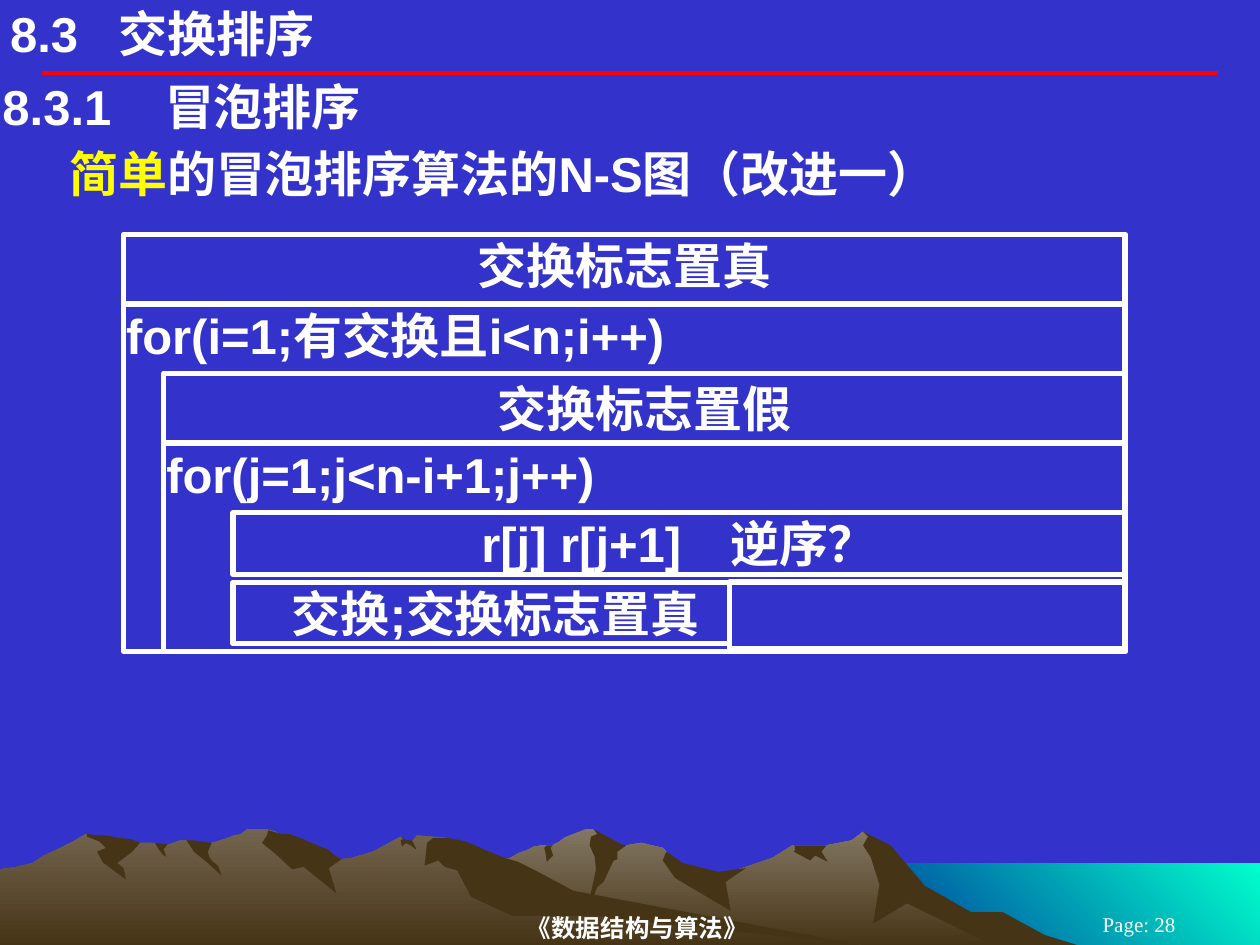
from lxml import etree
from pptx import Presentation
from pptx.dml.color import RGBColor
from pptx.enum.shapes import MSO_CONNECTOR, MSO_SHAPE
from pptx.enum.text import MSO_ANCHOR, MSO_AUTO_SIZE, PP_ALIGN
from pptx.oxml.ns import qn
from pptx.util import Inches, Pt

LEFT, CENTER = PP_ALIGN.LEFT, PP_ALIGN.CENTER
TOP, MIDDLE = MSO_ANCHOR.TOP, MSO_ANCHOR.MIDDLE
NO_AUTOFIT = MSO_AUTO_SIZE.NONE
RECTANGLE, STRAIGHT = MSO_SHAPE.RECTANGLE, MSO_CONNECTOR.STRAIGHT
TITLE_ONLY = 5

COLORS = {
    "page": "3333CC", "text": "FFFFFF", "accent": "FFFF00", "rule": "FF0000",
    "sea_light": "00FFCC", "sea_dark": "003399", "rock": "837763",
    "far_rock": "72644E", "shade": "463416",
}
HEADING = {"name": "Arial", "size": Pt(28), "bold": True}
FOOTER = {"name": "Times New Roman", "size": Pt(14), "bold": True}
PAGE_NUMBER = {"name": "Times New Roman", "size": Pt(12), "bold": False}

# The grid has 1000 columns and 750 rows of square cells.
COLUMNS = 1000
CHART_TOP, ROW_STEP, CHART_BOTTOM = 186, 55.2, 517
CHART_RIGHT = 893
OUTER, MIDDLE_LOOP, INNER = 98, 130, 185

# Outlines run from back to front: fill colours, then grid points.
SEA = "1000,752 683,752 683,685 1000,685"
FRONT_RANGE = [
    (("rock", "shade"),
     "802,740 778,727 764,723 723,698 702,671 685,660 676,667 656,671 629,671 613,681 "
     "566,697 536,690 529,676 526,673 509,669 497,671 486,673 474,661 471,658 465,658 "
     "450,664 448,665 444,668 438,671 430,671 424,672 418,675 412,677 405,681 399,683 "
     "394,685 355,698 327,709 277,739 258,751 821,751"),
    (("shade",),
     "796,724 771,724 734,703 707,671 685,660 689,664 685,671 691,680 698,702 693,733 "
     "720,717 792,752 858,751 829,742"),
    (("shade",),
     "471,658 474,662 469,664 468,671 472,680 473,690 465,727 474,704 479,700 487,683 "
     "490,682 490,676 497,671 493,670"),
    (("shade",),
     "529,676 528,678 526,683 536,697 580,723 576,700 592,689 570,692 542,685"),
    (("shade",),
     "650,671 630,671 631,672 631,675 630,676 643,683 647,679 657,684 652,676 656,671"),
    (("shade",),
     "433,677 432,673 434,671 438,671 439,670 437,673 439,679 434,684"),
]
BACK_RANGE = [
    (("far_rock", "shade"),
     "690,751 667,748 432,712 354,665 331,663 327,668 323,668 318,664 296,676 279,681 "
     "271,682 260,676 236,681 223,663 219,660 212,658 196,658 191,662 186,663 178,666 "
     "168,669 160,671 148,667 143,667 132,671 128,671 123,669 111,669 94,671 68,662 "
     "56,669 46,674 35,679 26,685 14,688 0,690 0,751"),
    (("shade",),
     "212,663 208,669 219,678 232,690 241,688 267,709 261,689 271,682 266,679 260,674 "
     "252,671 238,665 230,662 224,662 213,659"),
    (("shade",),
     "370,668 361,666 354,665 344,665 339,669 337,687 348,683 353,688 363,691 374,712 "
     "407,727 472,727 690,751 683,750 455,707 427,692 411,684 401,681 386,675"),
    (("shade",),
     "318,667 320,666 318,664 323,667 327,667 330,673 330,674 326,671 322,669 319,672"),
    (("shade",),
     "154,667 161,668 168,669 165,676 166,680 169,684 173,687 176,695 165,685 154,676 "
     "148,667"),
    (("shade",),
     "133,670 130,674 132,680 129,678 126,674 123,669"),
    (("shade",),
     "109,668 111,669 105,676 93,685 98,689 100,698 82,685 77,676 84,673 79,668 69,664 "
     "69,662 77,663 84,663 94,665 104,666"),
]


def color(name):
    return RGBColor.from_string(COLORS[name])


class SlideBuilder:
    """Draws styled elements on the current page, measured in grid cells."""

    def __init__(self, deck):
        self.cell = deck.slide_width // COLUMNS
        self.page = deck.slides.add_slide(deck.slide_layouts[TITLE_ONLY])
        self.shapes = self.page.shapes
        background = self.page.background.fill
        background.solid()
        background.fore_color.rgb = color("page")

    def scale(self, *cells):
        return [round(count * self.cell) for count in cells]

    def set_text(self, shape, spans, font=HEADING, align=LEFT, anchor=TOP,
                 insets=(2, 1), indent=0, tab=0):
        """Fills a shape with one paragraph of (text, colour name) spans."""
        frame = shape.text_frame
        across, down = self.scale(*insets)
        settings = {
            "word_wrap": True, "auto_size": NO_AUTOFIT, "vertical_anchor": anchor,
            "margin_left": across, "margin_right": across,
            "margin_top": down, "margin_bottom": down,
        }
        for name, value in settings.items():
            setattr(frame, name, value)
        para = frame.paragraphs[0]
        para.alignment = align
        properties = para._p.get_or_add_pPr()
        if indent:
            properties.set("marL", str(indent * self.cell))
            properties.set("indent", "0")
        if tab:
            stops = etree.SubElement(properties, qn("a:tabLst"))
            etree.SubElement(stops, qn("a:tab"), pos=str(tab * self.cell), algn="l")
        for text, color_name in spans:
            span = para.add_run()
            span.text = text
            for name, value in font.items():
                setattr(span.font, name, value)
            span.font.color.rgb = color(color_name)

    def title(self, place, text, **style):
        box = self.shapes.title
        box.left, box.top, box.width, box.height = self.scale(*place)
        self.set_text(box, [(text, "text")], **style)

    def text(self, place, *spans, **style):
        self.set_text(self.shapes.add_textbox(*self.scale(*place)), spans, **style)

    def block(self, left, top, bottom, text="", right=CHART_RIGHT, filled=True, **style):
        """Adds one outlined block of the N-S chart."""
        place = self.scale(left, top, right - left, bottom - top)
        box = self.shapes.add_shape(RECTANGLE, *place)
        box.shadow.inherit = False
        if filled:
            box.fill.solid()
            box.fill.fore_color.rgb = color("page")
        else:
            box.fill.background()
        box.line.color.rgb = color("text")
        box.line.width = Pt(3)
        if text:
            self.set_text(box, [(text, "text")], **style)

    def outline(self, fills, points, angle=270):
        """Adds a closed outline with a plain fill or a two-colour gradient."""
        start, *rest = [tuple(map(int, pair.split(","))) for pair in points.split()]
        builder = self.shapes.build_freeform(*start, scale=self.cell)
        builder.add_line_segments(rest, close=True)
        shape = builder.convert_to_shape()
        shape.shadow.inherit = False
        shape.line.fill.background()
        if len(fills) == 1:
            shape.fill.solid()
            shape.fill.fore_color.rgb = color(fills[0])
            return
        shape.fill.gradient()
        shape.fill.gradient_angle = angle
        for stop, name in zip(shape.fill.gradient_stops, fills):
            stop.color.rgb = color(name)

    def rule(self, left, right, row):
        line = self.shapes.add_connector(STRAIGHT, *self.scale(left, row, right, row))
        line.line.color.rgb = color("rule")
        line.line.width = Pt(2.25)
        etree.SubElement(line._element.spPr, qn("a:effectLst"))


def draw_scenery(slide):
    slide.outline(("sea_light", "sea_dark"), SEA, angle=225)
    for fills, points in FRONT_RANGE + BACK_RANGE:
        slide.outline(fills, points)
    slide.rule(33, 967, 58)
    slide.text((203, 722, 606, 28), ("《数据结构与算法》", "text"),
               font=FOOTER, align=CENTER, anchor=MIDDLE, insets=(0, 1))
    slide.text((825, 725, 158, 17), ("Page: 28", "text"),
               font=PAGE_NUMBER, align=CENTER, anchor=MIDDLE, insets=(10, 5))


def draw_headings(slide):
    slide.title((8, 3, 650, 47), "8.3\t交换排序", insets=(0, 0), tab=86)
    slide.text((0, 60, 1000, 49), ("8.3.1\t冒泡排序", "text"), tab=129)
    slide.text((0, 113, 1000, 49), ("简单", "accent"),
               ("的冒泡排序算法的N-S图（改进一）", "text"), indent=53)


def draw_chart(slide):
    rows = [CHART_TOP + ROW_STEP * index for index in range(6)]
    slide.block(OUTER, rows[1], CHART_BOTTOM, "for(i=1;有交换且i<n;i++)", filled=False)
    slide.block(MIDDLE_LOOP, rows[3], CHART_BOTTOM, "for(j=1;j<n-i+1;j++)")
    slide.block(INNER, rows[4], rows[4] + 49, "r[j] r[j+1]　逆序？", align=CENTER)
    slide.block(INNER, rows[5], rows[5] + 49, "交换;交换标志置真", right=602, align=CENTER)
    slide.block(OUTER, rows[0], rows[1], "交换标志置真", filled=False, align=CENTER)
    slide.block(MIDDLE_LOOP, rows[2], rows[3], "交换标志置假", filled=False,
                align=CENTER, anchor=MIDDLE)
    slide.block(579, rows[5], rows[5] + 53)


def main():
    deck = Presentation()
    deck.slide_width, deck.slide_height = Inches(10), Inches(7.5)
    slide = SlideBuilder(deck)
    draw_scenery(slide)
    draw_headings(slide)
    draw_chart(slide)
    deck.save("out.pptx")


if __name__ == "__main__":
    main()
